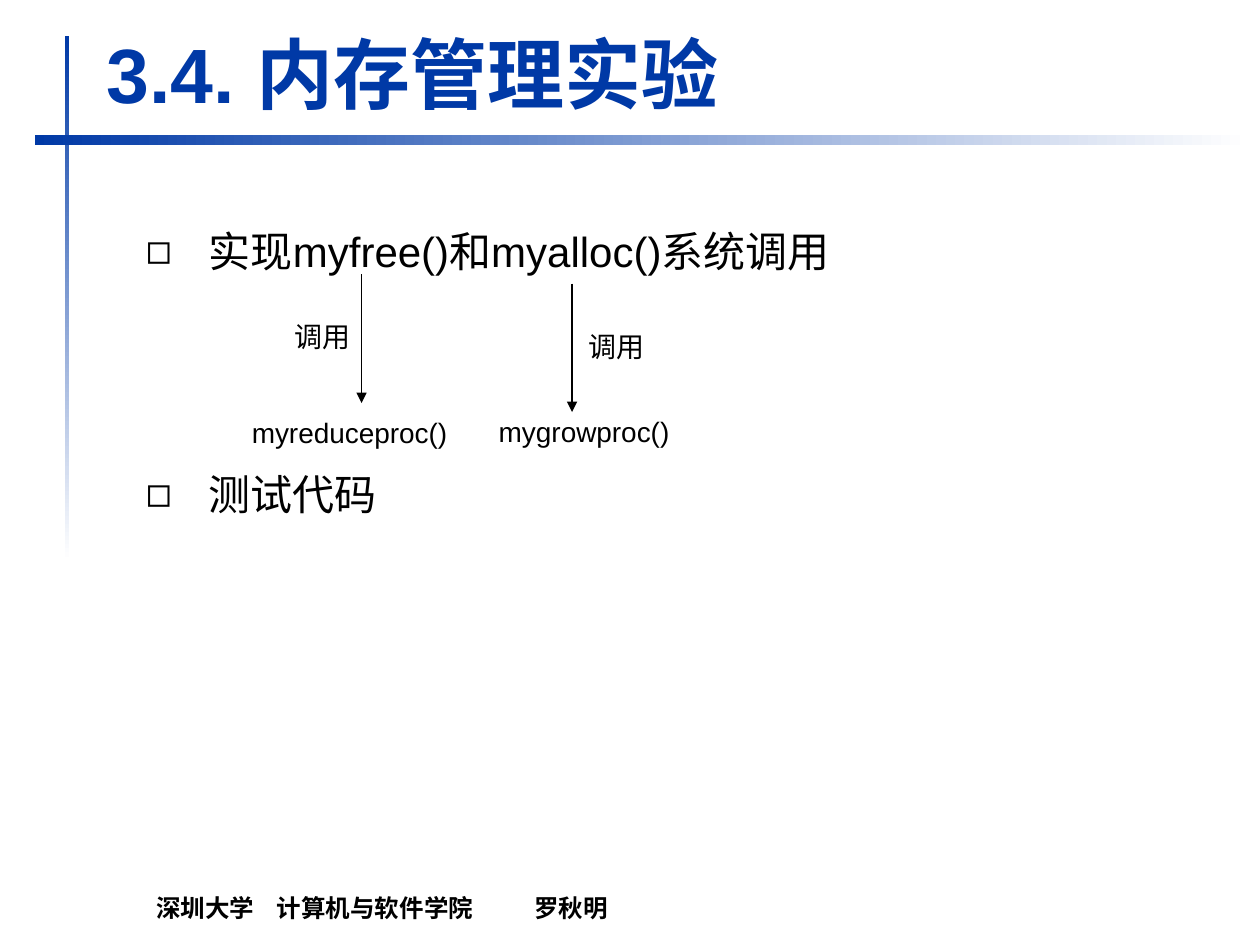
from dataclasses import dataclass

from lxml.etree import SubElement
from pptx import Presentation
from pptx.dml.color import RGBColor
from pptx.enum.shapes import MSO_CONNECTOR, MSO_SHAPE
from pptx.enum.text import MSO_ANCHOR, MSO_AUTO_SIZE
from pptx.oxml.ns import qn
from pptx.util import Pt


@dataclass(frozen=True)
class Theme:
    """Colours, font and type sizes of the slide."""
    blue: RGBColor = RGBColor(0x00, 0x39, 0xA6)
    white: RGBColor = RGBColor(0xFF, 0xFF, 0xFF)
    black: RGBColor = RGBColor(0x00, 0x00, 0x00)
    font: str = "Arial"
    title: int = 44
    body: int = 24
    label: int = 16
    footer: int = 14


THEME = Theme()


def set_attrs(obj, values):
    """Set each named value on an object."""
    for name, value in values.items():
        setattr(obj, name, value)


def add_bar(s, x, y, w, h, angle):
    """Add a thin bar that fades from blue to white."""
    sp = s.shapes.add_shape(MSO_SHAPE.RECTANGLE, Pt(x), Pt(y), Pt(w), Pt(h))
    sp.shadow.inherit = False
    sp.line.fill.background()
    sp.fill.gradient()
    sp.fill.gradient_angle = angle
    for stop, color, position in zip(sp.fill.gradient_stops, (THEME.blue, THEME.white), (0, 1)):
        set_attrs(stop, {"position": position})
        stop.color.rgb = color


def add_text(s, text, x, y, w, h, size, color=THEME.black, bold=False, **frame):
    """Add a one-line text box and return its paragraph."""
    tf = s.shapes.add_textbox(Pt(x), Pt(y), Pt(w), Pt(h)).text_frame
    set_attrs(tf, {"word_wrap": True, "auto_size": MSO_AUTO_SIZE.SHAPE_TO_FIT_TEXT, **frame})
    p = tf.paragraphs[0]
    r = p.add_run()
    r.text = text
    set_attrs(r.font, {"name": THEME.font, "size": Pt(size), "bold": bold})
    r.font.color.rgb = color
    return p


def add_bullet(s, text, y):
    """Add a body line with a hollow square bullet."""
    p = add_text(s, text, 76.3, y, 544.3, 36, THEME.body)
    pPr = p._p.get_or_add_pPr()
    pPr.set("marL", str(Pt(36)))
    pPr.set("indent", str(-Pt(36)))
    SubElement(pPr, qn("a:buFont"), typeface=THEME.font)
    SubElement(pPr, qn("a:buChar"), char="◻")


def add_footer(s, parts, stops):
    """Add the footer with its parts placed at tab stops."""
    p = add_text(s, "\t".join(parts), 82.1, 502.5, 651.6, 28, THEME.footer, bold=True,
                 vertical_anchor=MSO_ANCHOR.BOTTOM, auto_size=MSO_AUTO_SIZE.NONE)
    tabs = SubElement(p._p.get_or_add_pPr(), qn("a:tabLst"))
    for stop in stops:
        SubElement(tabs, qn("a:tab"), pos=str(Pt(stop)), algn="l")


def add_call(s, x, y, label_at, name, name_at):
    """Add a call arrow with its label and the called function."""
    line = s.shapes.add_connector(MSO_CONNECTOR.STRAIGHT, Pt(x), Pt(y), Pt(x), Pt(y + 73.5))
    line.line.width = Pt(0.75)
    line.line.color.rgb = THEME.black
    SubElement(line.line._get_or_add_ln(), qn("a:tailEnd"), type="triangle")
    SubElement(line._element.spPr, qn("a:effectLst"))
    add_text(s, "调用", *label_at, 57, 26.6, THEME.label)
    add_text(s, name, *name_at, 164.2, 26.6, THEME.label)


def main():
    """Build and save the slide."""
    prs = Presentation()
    set_attrs(prs, {"slide_width": Pt(720), "slide_height": Pt(540)})
    s = prs.slides.add_slide(prs.slide_layouts[6])
    add_bar(s, 36.9, 20.4, 2.6, 300, 270)
    add_bar(s, 19.8, 77, 694, 5.8, 0)
    add_footer(s, ("深圳大学", "计算机与软件学院", "罗秋明"), (69, 216))
    add_text(s, "3.4. 内存管理实验", 54, 11.5, 650.2, 59.8, THEME.title, THEME.blue, True,
             vertical_anchor=MSO_ANCHOR.BOTTOM, auto_size=MSO_AUTO_SIZE.NONE)
    add_bullet(s, "实现myfree()和myalloc()系统调用", 125.3)
    add_call(s, 206.6, 156.8, (161.3, 179.3), "myreduceproc()", (136.8, 234))
    add_call(s, 326.9, 162, (329, 185), "mygrowproc()", (277.9, 233.3))
    add_bullet(s, "测试代码", 264.2)
    prs.save("out.pptx")


if __name__ == "__main__":
    main()
